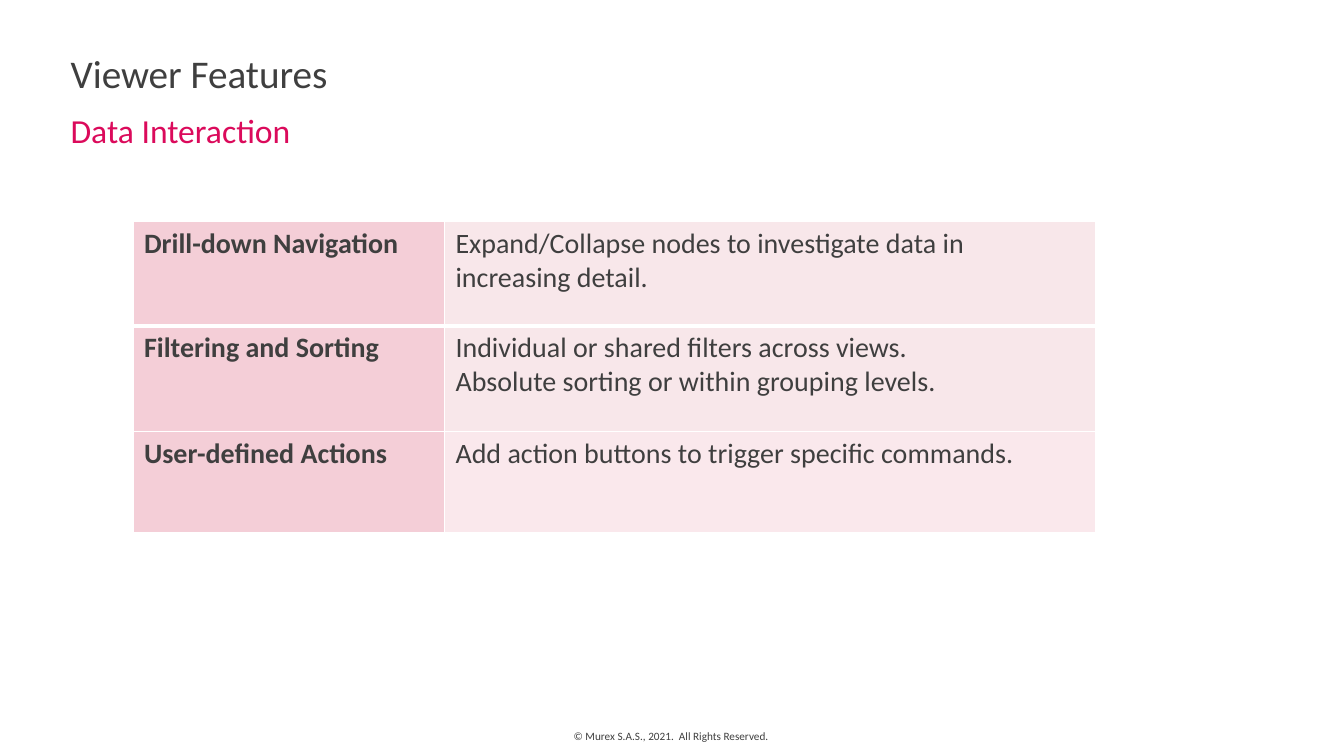
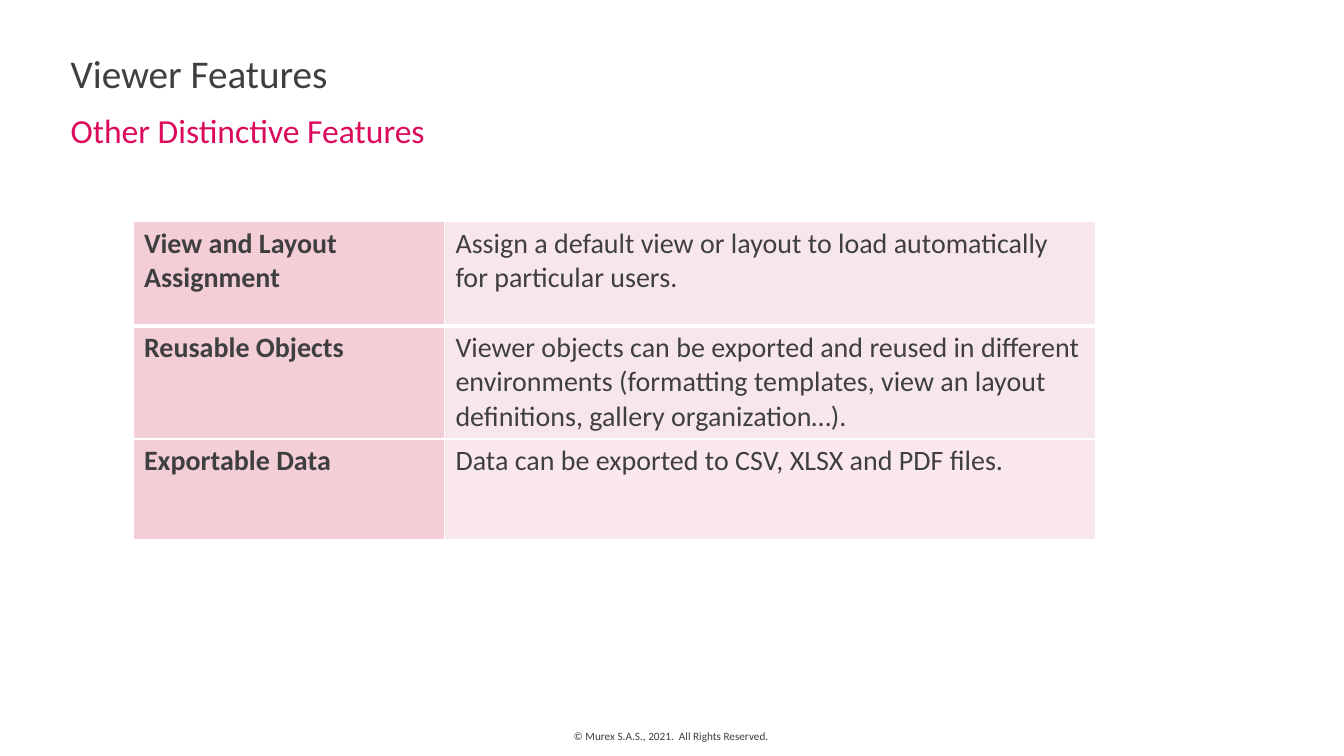
from lxml import etree
from pptx import Presentation
from pptx.dml.color import RGBColor
from pptx.enum.text import MSO_ANCHOR, MSO_AUTO_SIZE, PP_ALIGN
from pptx.oxml.ns import qn
from pptx.util import Cm, Pt

LEFT, CENTER = PP_ALIGN.LEFT, PP_ALIGN.CENTER
TOP, BOTTOM = MSO_ANCHOR.TOP, MSO_ANCHOR.BOTTOM
NO_AUTOFIT = MSO_AUTO_SIZE.NONE
TITLE_ONLY = 5

# Shared style
FONT = "Calibri"
INK, ACCENT, WHITE = "3F3F3F", "DB0A5B", "FFFFFF"
FEATURE_FILL = "F4CED7"
DETAIL_FILLS = ["F8E7EA", "F8E7EA", "FAE8EC"]
THIN, THICK = Pt(1), Pt(3)

# Shared boxes in cm: left, top, width, height
TITLE_BOX = (1.78, 1.24, 27.74, 1.19)
SUBTITLE_BOX = (1.78, 2.57, 30.68, 2.39)
TABLE_BOX = (3.35, 5.59, 24.26, 7.83)
FOOTER_BOX = (14.35, 18.39, 5.13, 0.33)
FEATURE_WIDTH = 7.85
ROW_HEIGHTS = [2.62, 2.67, 2.54]

COPYRIGHT = "© Murex S.A.S., 2021.  All Rights Reserved."
SLIDES = [
    ("Viewer Features", "Data Interaction", [
        ("Drill-down Navigation",
         "Expand/Collapse nodes to investigate data in increasing detail."),
        ("Filtering and Sorting",
         "Individual or shared filters across views.\n"
         "Absolute sorting or within grouping levels."),
        ("User-defined Actions",
         "Add action buttons to trigger specific commands."),
    ]),
    ("Viewer Features", "Other Distinctive Features", [
        ("View and Layout Assignment",
         "Assign a default view or layout to load automatically "
         "for particular users."),
        ("Reusable Objects",
         "Viewer objects can be exported and reused in different environments "
         "(formatting templates, view an layout definitions, "
         "gallery organization…)."),
        ("Exportable Data",
         "Data can be exported to CSV, XLSX and PDF files."),
    ]),
]


def color(hex_value):
    return RGBColor.from_string(hex_value)


def lengths(box):
    return [Cm(value) for value in box]


def write(frame, text, size=20, ink=INK, bold=False, align=LEFT, spacing=1.0):
    """Fill a text frame, one paragraph per line of text."""
    frame.text = text
    for paragraph in frame.paragraphs:
        paragraph.alignment = align
        paragraph.line_spacing = spacing
        for run in paragraph.runs:
            run.font.name = FONT
            run.font.size = Pt(size)
            run.font.bold = bold
            run.font.color.rgb = color(ink)


def prepare_frame(frame, anchor=TOP, side=0, wrap=True):
    frame.auto_size = NO_AUTOFIT
    frame.word_wrap = wrap
    frame.vertical_anchor = anchor
    frame.margin_left = frame.margin_right = Cm(side)
    frame.margin_top = frame.margin_bottom = 0


def add_title(slide, box, text):
    title = slide.shapes.title
    title.left, title.top, title.width, title.height = lengths(box)
    prepare_frame(title.text_frame, anchor=BOTTOM)
    write(title.text_frame, text, size=28)


def add_label(slide, box, text, side=0, wrap=True, **style):
    frame = slide.shapes.add_textbox(*lengths(box)).text_frame
    prepare_frame(frame, side=side, wrap=wrap)
    write(frame, text, **style)


def set_borders(cell, top, bottom):
    """Draw white cell borders; the lines must precede the fill."""
    properties = cell._tc.get_or_add_tcPr()
    widths = {"a:lnL": THIN, "a:lnR": THIN, "a:lnT": top, "a:lnB": bottom}
    for position, (tag, width) in enumerate(widths.items()):
        line = etree.Element(qn(tag), w=str(width))
        fill = etree.SubElement(line, qn("a:solidFill"))
        etree.SubElement(fill, qn("a:srgbClr"), val=WHITE)
        properties.insert(position, line)


def format_cell(cell, text, fill, row, bold):
    cell.margin_left = cell.margin_right = Cm(0.28)
    cell.margin_top = cell.margin_bottom = Cm(0.13)
    cell.vertical_anchor = TOP
    cell.fill.solid()
    cell.fill.fore_color.rgb = color(fill)
    set_borders(cell, top=THICK if row == 1 else THIN,
                bottom=THICK if row == 0 else THIN)
    write(cell.text_frame, text, bold=bold)


def add_feature_table(slide, box, features):
    table = slide.shapes.add_table(len(features), 2, *lengths(box)).table
    table.first_row = table.horz_banding = False
    table.columns[0].width = Cm(FEATURE_WIDTH)
    table.columns[1].width = Cm(box[2] - FEATURE_WIDTH)
    for row, (feature, detail) in enumerate(features):
        table.rows[row].height = Cm(ROW_HEIGHTS[row])
        format_cell(table.cell(row, 0), feature, FEATURE_FILL, row, bold=True)
        format_cell(table.cell(row, 1), detail, DETAIL_FILLS[row], row, bold=False)


def add_feature_slide(deck, title, subtitle, features):
    slide = deck.slides.add_slide(deck.slide_layouts[TITLE_ONLY])
    add_label(slide, FOOTER_BOX, COPYRIGHT, side=0.1, wrap=False,
              size=8, align=CENTER)
    add_title(slide, TITLE_BOX, title)
    add_label(slide, SUBTITLE_BOX, subtitle, size=24, ink=ACCENT, spacing=1.2)
    add_feature_table(slide, TABLE_BOX, features)


def main():
    deck = Presentation()
    deck.slide_width, deck.slide_height = Cm(33.87), Cm(19.05)
    for title, subtitle, features in SLIDES:
        add_feature_slide(deck, title, subtitle, features)
    deck.save("out.pptx")


if __name__ == "__main__":
    main()
